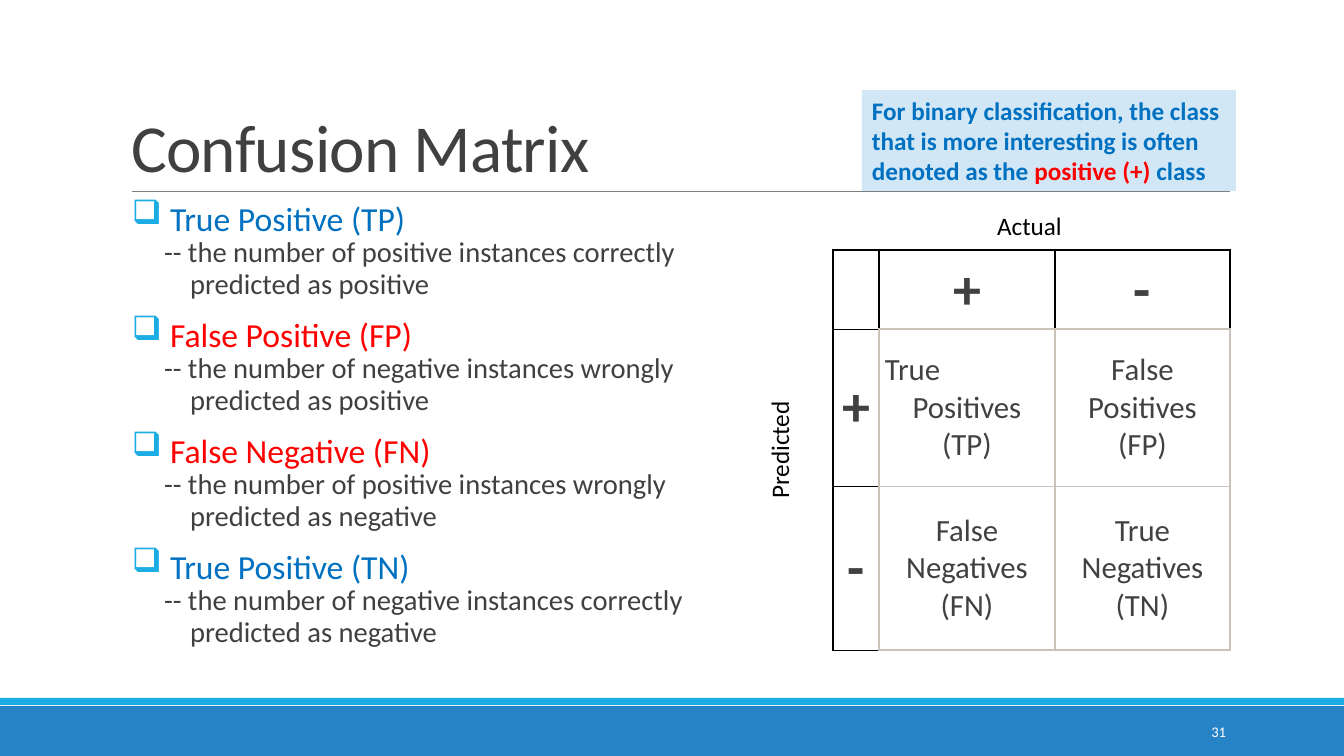
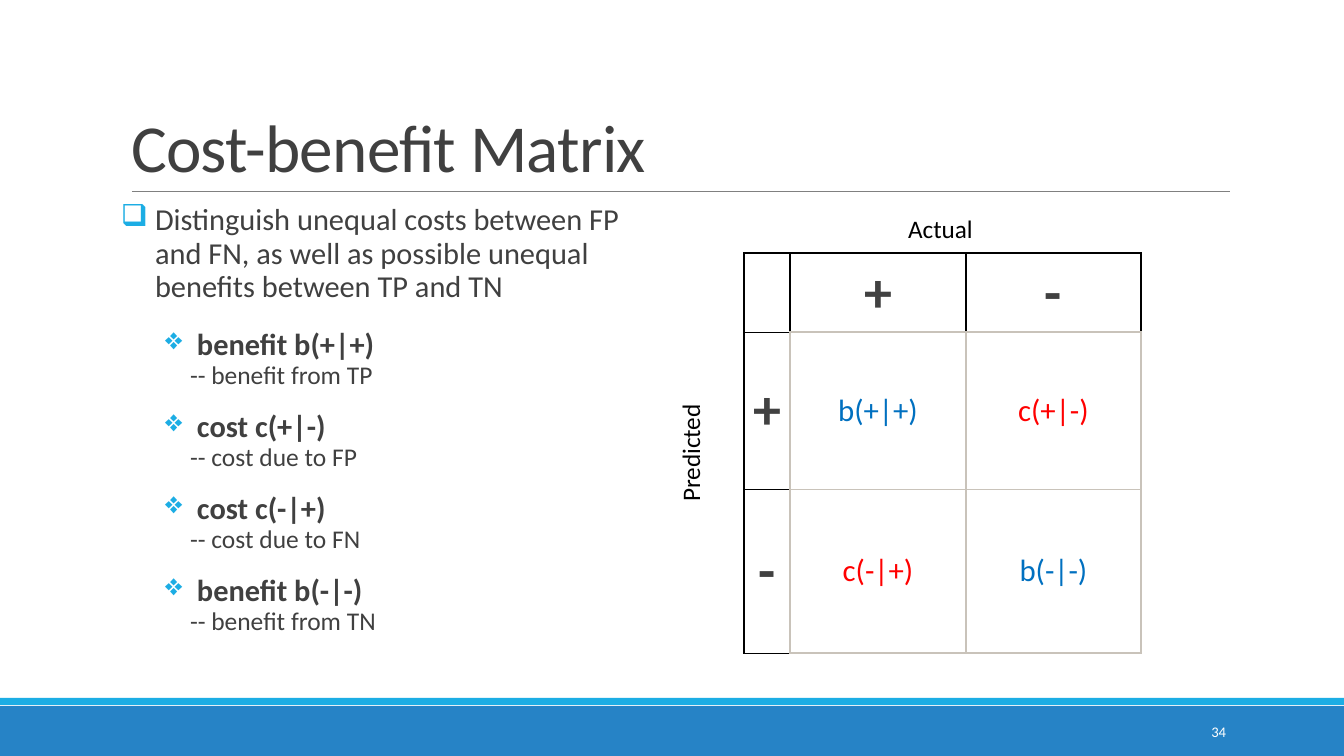
import pptx
import pptx.dml.color
import pptx.enum.shapes
import pptx.enum.text
import pptx.oxml.ns
import pptx.util
from lxml import etree

RGBColor = pptx.dml.color.RGBColor
ALIGN = pptx.enum.text.PP_ALIGN
ANCHOR = pptx.enum.text.MSO_ANCHOR
RECTANGLE = pptx.enum.shapes.MSO_SHAPE.RECTANGLE

WHITE = RGBColor(0xFF, 0xFF, 0xFF)
BLACK = RGBColor(0x00, 0x00, 0x00)
BODY = RGBColor(0x40, 0x40, 0x40)
CELL = RGBColor(0x41, 0x41, 0x41)
RULE = RGBColor(0x80, 0x80, 0x80)
TAUPE = RGBColor(0xC9, 0xC3, 0xBA)
BLUE = RGBColor(0x00, 0x70, 0xC0)
RED = RGBColor(0xFF, 0x00, 0x00)
BAND = RGBColor(0x26, 0x83, 0xC6)
ACCENT = RGBColor(0x1C, 0xAD, 0xE4)
PALE = RGBColor(0xD1, 0xE7, 0xF6)

FONT = "Calibri"
WIDTH, HEIGHT = 1344, 756
EMU_PER_PX = 914400 / 100.8


def px(length):
    return pptx.util.Emu(round(length * EMU_PER_PX))


def add_xml(parent, tag, **attributes):
    element = etree.SubElement(parent, pptx.oxml.ns.qn(tag))
    for name, value in attributes.items():
        element.set(name, str(value))
    return element


class Deck:
    """Hold the shared style and the current slide."""

    def __init__(self):
        self.presentation = pptx.Presentation()
        self.presentation.slide_width = px(WIDTH)
        self.presentation.slide_height = px(HEIGHT)
        self.slide = None

    def new_slide(self, title, number):
        layout = self.presentation.slide_layouts[5]
        self.slide = self.presentation.slides.add_slide(layout)
        self.title(title)
        self.rectangle(0, 706, WIDTH, 50, BAND)
        self.rectangle(0, 698, WIDTH, 7, ACCENT)
        self.line(132, 191, 1230)
        frame = self.text_box(1092, 712, 144, 40, (10, 5), ANCHOR.MIDDLE)
        self.paragraph(frame, [(number, WHITE)], 10.5, align=ALIGN.RIGHT)

    def title(self, text):
        shape = self.slide.shapes.title
        shape.left, shape.top, shape.width, shape.height = map(px, (121, 31, 1109, 160))
        frame = shape.text_frame
        frame.auto_size = pptx.enum.text.MSO_AUTO_SIZE.NONE
        frame.vertical_anchor = ANCHOR.BOTTOM
        paragraph = self.paragraph(frame, [(text, BODY)], 48, align=ALIGN.LEFT, spacing=0.85)
        paragraph.runs[0].font._element.set("spc", "-50")

    def rectangle(self, left, top, width, height, color):
        shape = self.slide.shapes.add_shape(RECTANGLE, *map(px, (left, top, width, height)))
        shape.shadow.inherit = False
        shape.fill.solid()
        shape.fill.fore_color.rgb = color
        shape.line.fill.background()
        return shape

    def line(self, left, top, right):
        kind = pptx.enum.shapes.MSO_CONNECTOR.STRAIGHT
        connector = self.slide.shapes.add_connector(kind, *map(px, (left, top, right, top)))
        connector.line.color.rgb = RULE
        connector.line.width = pptx.util.Pt(0.5)
        add_xml(connector._element.spPr, "a:effectLst")

    def text_box(self, left, top, width, height, margins, anchor=ANCHOR.TOP, rotation=0):
        shape = self.slide.shapes.add_textbox(*map(px, (left, top, width, height)))
        shape.rotation = rotation
        frame = shape.text_frame
        frame.word_wrap = True
        frame.vertical_anchor = anchor
        frame.margin_left = frame.margin_right = px(margins[0])
        frame.margin_top = frame.margin_bottom = px(margins[1])
        return frame

    def paragraph(self, frame, runs, size, bold=False, align=None, spacing=None,
                  before=0, after=0, indent=0, hanging=0, bullet=None):
        paragraph = frame.paragraphs[0]
        if paragraph.runs:
            paragraph = frame.add_paragraph()
            paragraph.space_before = pptx.util.Pt(before)
        paragraph.space_after = pptx.util.Pt(after)
        paragraph.alignment = align
        if spacing:
            paragraph.line_spacing = spacing
        properties = paragraph._p.get_or_add_pPr()
        if indent:
            properties.set("marL", str(px(indent)))
            properties.set("indent", str(px(-hanging)))
        if bullet:
            add_xml(add_xml(properties, "a:buClr"), "a:srgbClr", val=ACCENT)
            add_xml(properties, "a:buChar", char=bullet)
        for text, color in runs:
            run = paragraph.add_run()
            run.text = text
            run.font.name = FONT
            run.font.size = pptx.util.Pt(size)
            run.font.bold = bold
            run.font.color.rgb = color
        return paragraph

    def callout(self, left, top, width, height, runs):
        frame = self.rectangle(left, top, width, height, PALE).text_frame
        frame.word_wrap = True
        frame.vertical_anchor = ANCHOR.TOP
        self.paragraph(frame, runs, 18, bold=True, align=ALIGN.LEFT)

    def border(self, cell, side, color, points):
        line = add_xml(cell._tc.get_or_add_tcPr(), f"a:ln{side}", w=pptx.util.Pt(points))
        add_xml(add_xml(line, "a:solidFill"), "a:srgbClr", val=color)

    def cell(self, table, row, column, paragraphs):
        cell = table.cell(row, column)
        cell.vertical_anchor = ANCHOR.MIDDLE
        cell.margin_left = cell.margin_right = px(6)
        cell.margin_top = cell.margin_bottom = px(6)
        inner = (TAUPE, 1) if row and column else (BLACK, 1)
        outer = (TAUPE, 2)
        borders = {
            "L": outer if row and column == 1 else inner,
            "R": outer if row and column in (0, 2) else inner,
            "T": outer if row == 1 and column else inner,
            "B": outer if column and row in (0, 2) else inner,
        }
        for side, (color, points) in borders.items():
            self.border(cell, side, color, points)
        cell.fill.background()
        heading = row == 0 or column == 0
        for text, color, align in paragraphs:
            self.paragraph(cell.text_frame, [(text, color)], 40 if heading else 22,
                           bold=heading, align=align)

    def matrix(self, left, top, body):
        widths, heights = (46, 176, 175), (79, 157, 164)
        shape = self.slide.shapes.add_table(
            3, 3, *map(px, (left, top, sum(widths), sum(heights))))
        table = shape.table
        table.first_row = table.horz_banding = False
        for column, width in zip(table.columns, widths):
            column.width = px(width)
        for row, height in zip(table.rows, heights):
            row.height = px(height)
        plus, minus = ([(sign, CELL, ALIGN.CENTER)] for sign in "+-")
        grid = [[[], plus, minus], [plus, *body[0]], [minus, *body[1]]]
        for row, cells in enumerate(grid):
            for column, paragraphs in enumerate(cells):
                self.cell(table, row, column, paragraphs)
        for text, x, y, width, rotation in (("Actual", 158, -46, 77, 0),
                                            ("Predicted", -109, 179, 110, 270)):
            frame = self.text_box(left + x, top + y, width, 42, (6, 6),
                                  ANCHOR.MIDDLE, rotation)
            frame.word_wrap = False
            self.paragraph(frame, [(text, BLACK)], 18, align=ALIGN.CENTER)


def confusion_matrix(deck):
    deck.new_slide("Confusion Matrix", "31")
    frame = deck.text_box(132, 204, 560, 482, (0, 5))
    for term, color, instances, prediction in (
            ("True Positive (TP)", BLUE, "positive instances correctly", "positive"),
            ("False Positive (FP)", RED, "negative instances wrongly", "positive"),
            ("False Negative (FN)", RED, "positive instances wrongly", "negative"),
            ("True Positive (TN)", BLUE, "negative instances correctly", "negative")):
        deck.paragraph(frame, [(term, color)], 24, spacing=0.7, before=17,
                       indent=38, hanging=38, bullet="❑")
        meaning = f"-- the number of {instances} predicted as {prediction}"
        deck.paragraph(frame, [(meaning, BODY)], 20.4, spacing=0.93, indent=58, hanging=26)
    deck.callout(862, 90, 374, 101, [
        ("For binary classification, the class that is more interesting "
         "is often denoted as the ", BLUE),
        ("positive (+) ", RED),
        ("class", BLUE)])
    true_positive = [("True", CELL, ALIGN.LEFT), ("Positives (TP)", CELL, ALIGN.CENTER)]
    false_positive, false_negative, true_negative = (
        [(text, CELL, ALIGN.CENTER)] for text in
        ("False Positives (FP)", "False Negatives (FN)", "True Negatives (TN)"))
    deck.matrix(833, 250, [[true_positive, false_positive],
                           [false_negative, true_negative]])


def cost_benefit_matrix(deck):
    deck.new_slide("Cost-benefit Matrix", "34")
    frame = deck.text_box(121, 199, 515, 487, (0, 5))
    deck.paragraph(frame, [("Distinguish unequal costs between FP and FN, as well as "
                            "possible unequal benefits between TP and TN", BODY)],
                   21.7, spacing=0.92, after=3, indent=34, hanging=34, bullet="❑")
    for term, meaning in (("benefit b(+|+)", "-- benefit from TP"),
                          ("cost c(+|-)", "-- cost due to FP"),
                          ("cost c(-|+)", "-- cost due to FN"),
                          ("benefit b(-|-)", "-- benefit from TN")):
        deck.paragraph(frame, [(term, BODY)], 21.7, bold=True, spacing=0.7, before=19,
                       indent=76, hanging=32, bullet="❖")
        deck.paragraph(frame, [(meaning, BODY)], 18.2, spacing=0.93, before=1, indent=69)
    deck.matrix(744, 253, [
        [[("b(+|+)", BLUE, ALIGN.CENTER)], [("c(+|-)", RED, ALIGN.CENTER)]],
        [[("c(-|+)", RED, ALIGN.CENTER)], [("b(-|-)", BLUE, ALIGN.CENTER)]]])


def main():
    deck = Deck()
    confusion_matrix(deck)
    cost_benefit_matrix(deck)
    deck.presentation.save("out.pptx")


if __name__ == "__main__":
    main()
